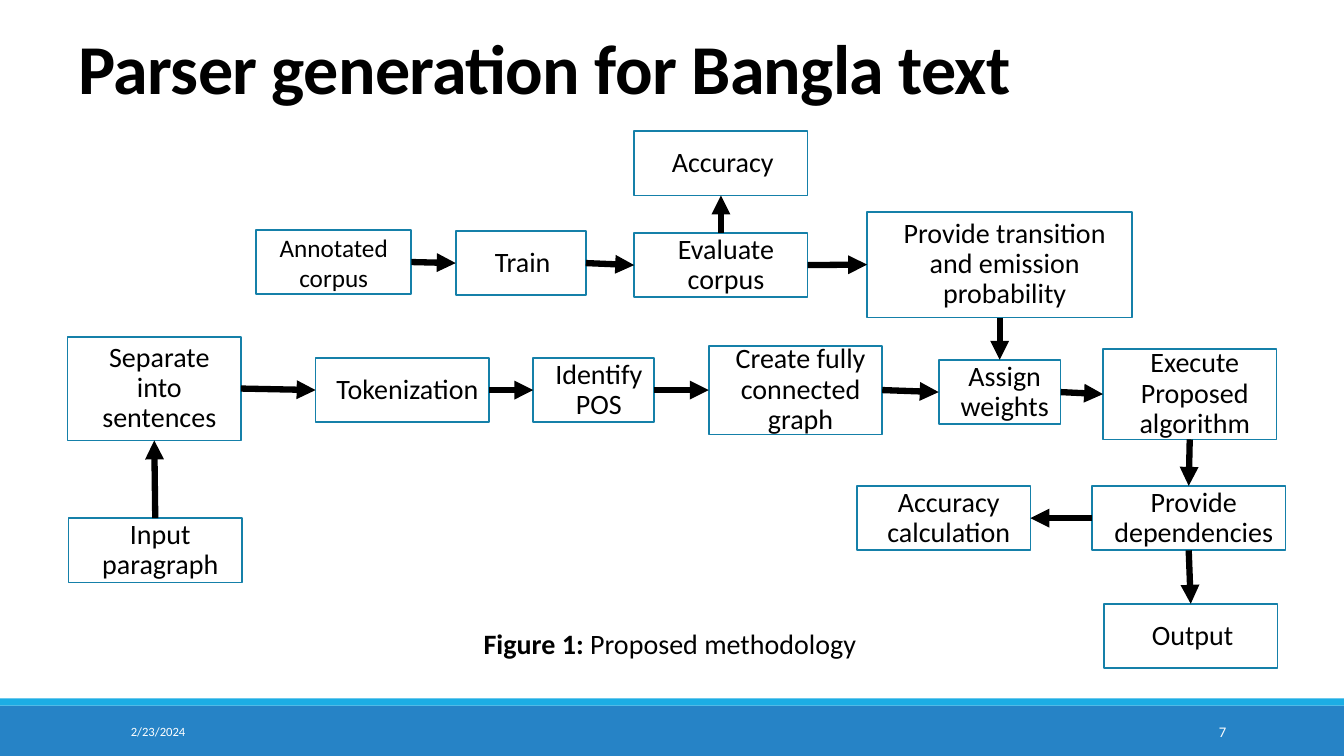
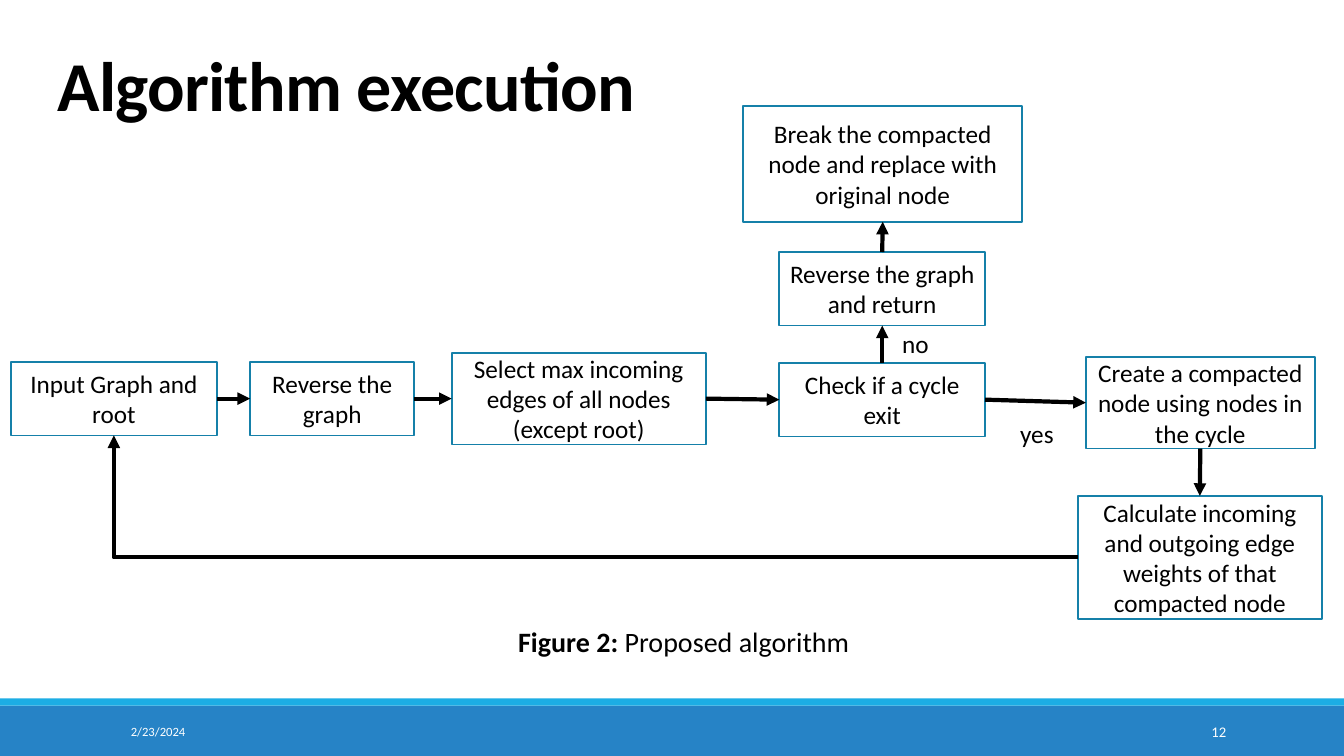
from dataclasses import dataclass

from lxml.etree import SubElement
from pptx import Presentation
from pptx.dml.color import RGBColor
from pptx.enum.shapes import MSO_CONNECTOR, MSO_SHAPE
from pptx.enum.text import MSO_ANCHOR, PP_ALIGN
from pptx.oxml.ns import qn
from pptx.util import Inches, Pt


@dataclass(frozen=True)
class Theme:
    font: str = "Calibri"
    ink: str = "000000"
    paper: str = "FFFFFF"
    outline: str = "1580A9"
    band: str = "2683C6"
    accent: str = "1CADE4"
    title: float = 50
    large: float = 20
    small: float = 18
    date: float = 9
    number: float = 10.5
    box_line: float = 1.25


THEME = Theme()
DATE = "2/23/2024"
BANDS = [((0, 7, 13.33, 0.5), THEME.band), ((0, 6.93, 13.33, 0.07), THEME.accent)]
DATE_AREA = (1.2, 7.06, 2.7, 0.4)
NUMBER_AREA = (10.83, 7.06, 1.43, 0.4)

CENTRED = {"alignment": PP_ALIGN.CENTER}
LISTED = {**CENTRED, "line_spacing": 0.9, "space_before": Pt(12), "space_after": Pt(2)}
TITLED = {"line_spacing": 0.85}

# Connection sites of a rectangle
TOP, LEFT, BOTTOM, RIGHT = range(4)
SITES = {
    "right": (RIGHT, LEFT),
    "left": (LEFT, RIGHT),
    "up": (TOP, BOTTOM),
    "down": (BOTTOM, TOP),
    "corner": (LEFT, BOTTOM),
}

# Boxes: key -> (text, (left, top, width, height))
STEP = (1.72, 0.64)
METHODOLOGY = {
    "number": 7,
    "title": ("Parser generation for Bangla text", (0.68, 0.32, 10.27, 0.81)),
    "caption": ("Figure 1:", " Proposed methodology", (4.53, 6.17, 4.23, 0.44), CENTRED),
    "listed": True,
    "plain": {"annotated"},
    "boxes": {
        "annotated": ("Annotated corpus", (2.54, 2.28, 1.54, 0.64)),
        "train": ("Train ", (4.52, 2.29, 1.29, 0.64)),
        "evaluate": ("Evaluate corpus", (6.29, 2.31, *STEP)),
        "accuracy": ("Accuracy ", (6.29, 1.3, *STEP)),
        "probability": ("Provide transition and emission probability", (8.6, 2.1, 2.63, 1.05)),
        "input": ("Input paragraph", (0.68, 5.14, *STEP)),
        "separate": ("Separate into sentences", (0.67, 3.34, 1.72, 1.03)),
        "tokenize": ("Tokenization", (3.13, 3.55, *STEP)),
        "identify": ("Identify POS", (5.29, 3.55, 1.2, 0.64)),
        "create": ("Create fully connected graph", (7.03, 3.43, 1.72, 0.88)),
        "assign": ("Assign weights", (9.31, 3.57, 1.21, 0.64)),
        "execute": ("Execute Proposed algorithm", (10.94, 3.46, 1.72, 0.9)),
        "dependencies": ("Provide dependencies", (10.83, 4.82, 1.92, 0.64)),
        "calculation": ("Accuracy calculation", (8.5, 4.82, *STEP)),
        "output": ("Output ", (10.95, 5.99, *STEP)),
    },
    "arrow_width": 4.5,
    "arrows": [
        ("annotated", "right", "train"),
        ("train", "right", "evaluate"),
        ("evaluate", "up", "accuracy"),
        ("evaluate", "right", "probability"),
        ("probability", "down", "assign"),
        ("input", "up", "separate"),
        ("separate", "right", "tokenize"),
        ("tokenize", "right", "identify"),
        ("identify", "right", "create"),
        ("create", "right", "assign"),
        ("assign", "right", "execute"),
        ("execute", "down", "dependencies"),
        ("dependencies", "left", "calculation"),
        ("dependencies", "down", "output"),
    ],
    "labels": [],
}

STAGE = (2.04, 0.73)
ALGORITHM = {
    "number": 12,
    "title": ("Algorithm execution", (0.47, 0.49, 6.2, 0.91)),
    "caption": ("Figure 2:", " Proposed algorithm", (5.04, 6.15, 3.71, 0.44), {}),
    "listed": False,
    "plain": set(),
    "boxes": {
        "input": ("Input Graph and root", (0.11, 3.59, *STAGE)),
        "reverse": ("Reverse the graph", (2.48, 3.59, 1.63, 0.73)),
        "select": ("Select max incoming edges of all nodes (except root)", (4.48, 3.5, 2.52, 0.91)),
        "check": ("Check if a cycle exit", (7.73, 3.6, *STAGE)),
        "return": ("Reverse the graph and return", (7.73, 2.5, *STAGE)),
        "break": ("Break the compacted node and replace with original node", (7.37, 1.05, 2.77, 1.15)),
        "compact": ("Create a compacted node using nodes in the cycle", (10.77, 3.54, 2.27, 0.91)),
        "weights": (
            "Calculate incoming and outgoing edge weights of that compacted node",
            (10.69, 4.92, 2.42, 1.22),
        ),
    },
    "arrow_width": 3,
    "arrows": [
        ("input", "right", "reverse"),
        ("reverse", "right", "select"),
        ("select", "right", "check"),
        ("check", "up", "return"),
        ("return", "up", "break"),
        ("check", "right", "compact"),
        ("compact", "down", "weights"),
        ("weights", "corner", "input"),
    ],
    "labels": [("no", (8.85, 3.21, 0.49, 0.4)), ("yes", (10.02, 4.1, 0.6, 0.4))],
}


def rgb(code):
    return RGBColor.from_string(code)


def inches(area):
    return [Inches(length) for length in area]


def write(shape, runs, size, color=THEME.ink, layout=None, anchor=MSO_ANCHOR.TOP):
    """Fill one paragraph with (text, bold) runs and return it."""
    frame = shape.text_frame
    frame.word_wrap = True
    frame.vertical_anchor = anchor
    paragraph = frame.paragraphs[0]
    for name, value in (layout or {}).items():
        setattr(paragraph, name, value)
    for text, bold in runs:
        run = paragraph.add_run()
        run.text = text
        for name, value in {"name": THEME.font, "size": Pt(size), "bold": bold}.items():
            setattr(run.font, name, value)
        run.font.color.rgb = rgb(color)
    return paragraph


def add_text(slide, area, runs, size, **style):
    return write(slide.shapes.add_textbox(*inches(area)), runs, size, **style)


def add_rectangle(slide, area, fill):
    rectangle = slide.shapes.add_shape(MSO_SHAPE.RECTANGLE, *inches(area))
    rectangle.shadow.inherit = False
    rectangle.fill.solid()
    rectangle.fill.fore_color.rgb = rgb(fill)
    rectangle.line.fill.background()
    return rectangle


def add_blank_bullet(paragraph):
    """Give the paragraph a hanging indent behind a space narrow enough to fit in it."""
    properties = paragraph._p.get_or_add_pPr()
    properties.set("marL", str(Inches(0.1)))
    properties.set("indent", str(-Inches(0.1)))
    color = SubElement(properties, qn("a:buClr"))
    SubElement(color, qn("a:srgbClr"), val=THEME.accent)
    SubElement(properties, qn("a:buSzPct"), val="50000")
    SubElement(properties, qn("a:buFont"), typeface=THEME.font)
    SubElement(properties, qn("a:buChar"), char=" ")


def add_box(slide, text, area, listed):
    box = add_rectangle(slide, area, THEME.paper)
    box.line.color.rgb = rgb(THEME.outline)
    box.line.width = Pt(THEME.box_line)
    paragraph = write(
        box,
        [(text, False)],
        THEME.large if listed else THEME.small,
        layout=LISTED if listed else CENTRED,
        anchor=MSO_ANCHOR.MIDDLE,
    )
    if listed:
        add_blank_bullet(paragraph)
    return box


def add_arrow(slide, source, direction, target, width):
    cornered = direction == "corner"
    kind = MSO_CONNECTOR.ELBOW if cornered else MSO_CONNECTOR.STRAIGHT
    arrow = slide.shapes.add_connector(kind, 0, 0, 0, 0)
    start, end = SITES[direction]
    arrow.begin_connect(source, start)
    arrow.end_connect(target, end)
    arrow.line.color.rgb = rgb(THEME.ink)
    arrow.line.width = Pt(width)
    properties = arrow._element.spPr
    if cornered:
        properties.find(qn("a:prstGeom")).set("prst", "bentConnector2")
    SubElement(properties.find(qn("a:ln")), qn("a:tailEnd"), type="triangle")
    SubElement(properties, qn("a:effectLst"))


def add_frame(slide, title, number):
    """Add what every slide shares: bands, date, number and title."""
    for area, fill in BANDS:
        add_rectangle(slide, area, fill)
    footer = {"color": THEME.paper, "anchor": MSO_ANCHOR.MIDDLE}
    add_text(slide, DATE_AREA, [(DATE, False)], THEME.date, **footer)
    add_text(slide, NUMBER_AREA, [(str(number), False)], THEME.number,
             layout={"alignment": PP_ALIGN.RIGHT}, **footer)
    text, area = title
    heading = add_text(slide, area, [(text, True)], THEME.title, layout=TITLED)
    heading.runs[0].font._element.set("spc", "-50")


def add_flowchart(slide, chart):
    boxes = {
        key: add_box(slide, text, area, chart["listed"] and key not in chart["plain"])
        for key, (text, area) in chart["boxes"].items()
    }
    for source, direction, target in chart["arrows"]:
        add_arrow(slide, boxes[source], direction, boxes[target], chart["arrow_width"])
    for text, area in chart["labels"]:
        add_text(slide, area, [(text, False)], THEME.small)
    figure, description, area, layout = chart["caption"]
    add_text(slide, area, [(figure, True), (description, False)], THEME.large, layout=layout)


def main():
    deck = Presentation()
    deck.slide_width, deck.slide_height = inches((13.33, 7.5))
    for chart in (METHODOLOGY, ALGORITHM):
        slide = deck.slides.add_slide(deck.slide_layouts[6])
        add_frame(slide, chart["title"], chart["number"])
        add_flowchart(slide, chart)
    deck.save("out.pptx")


if __name__ == "__main__":
    main()
